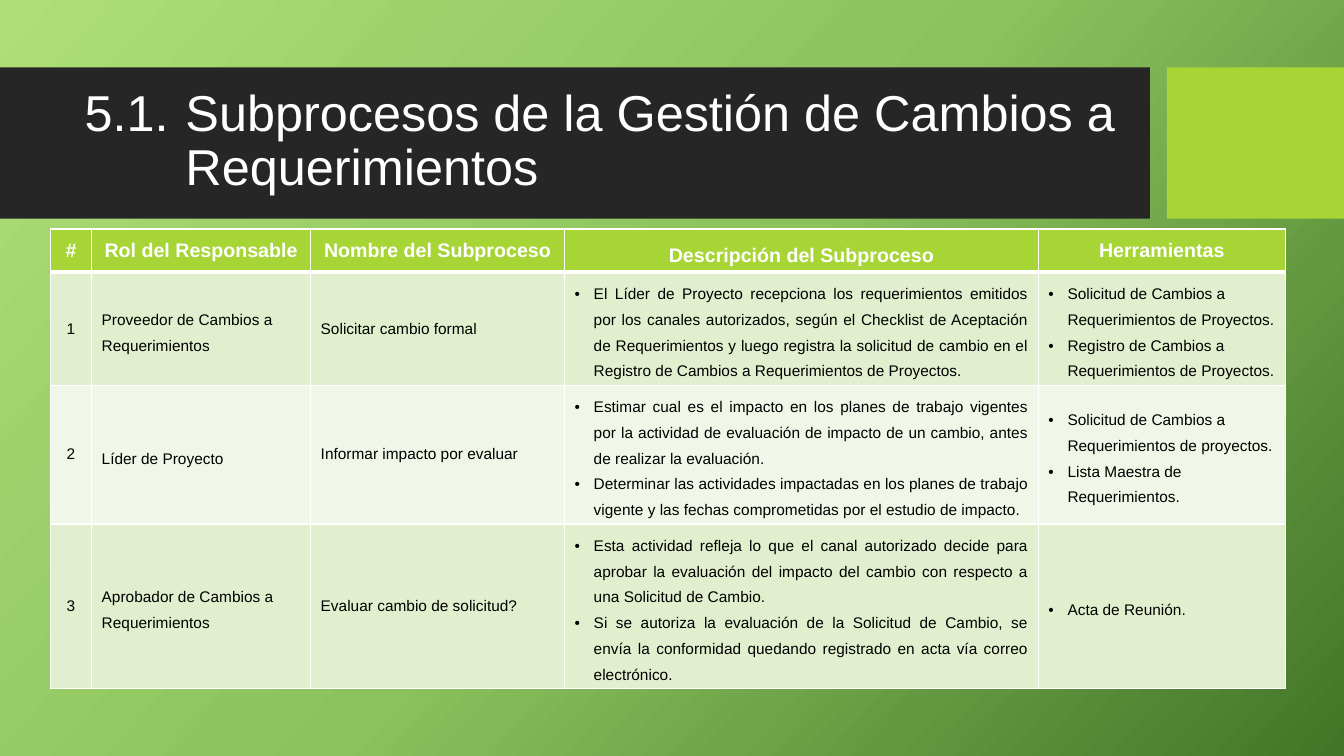
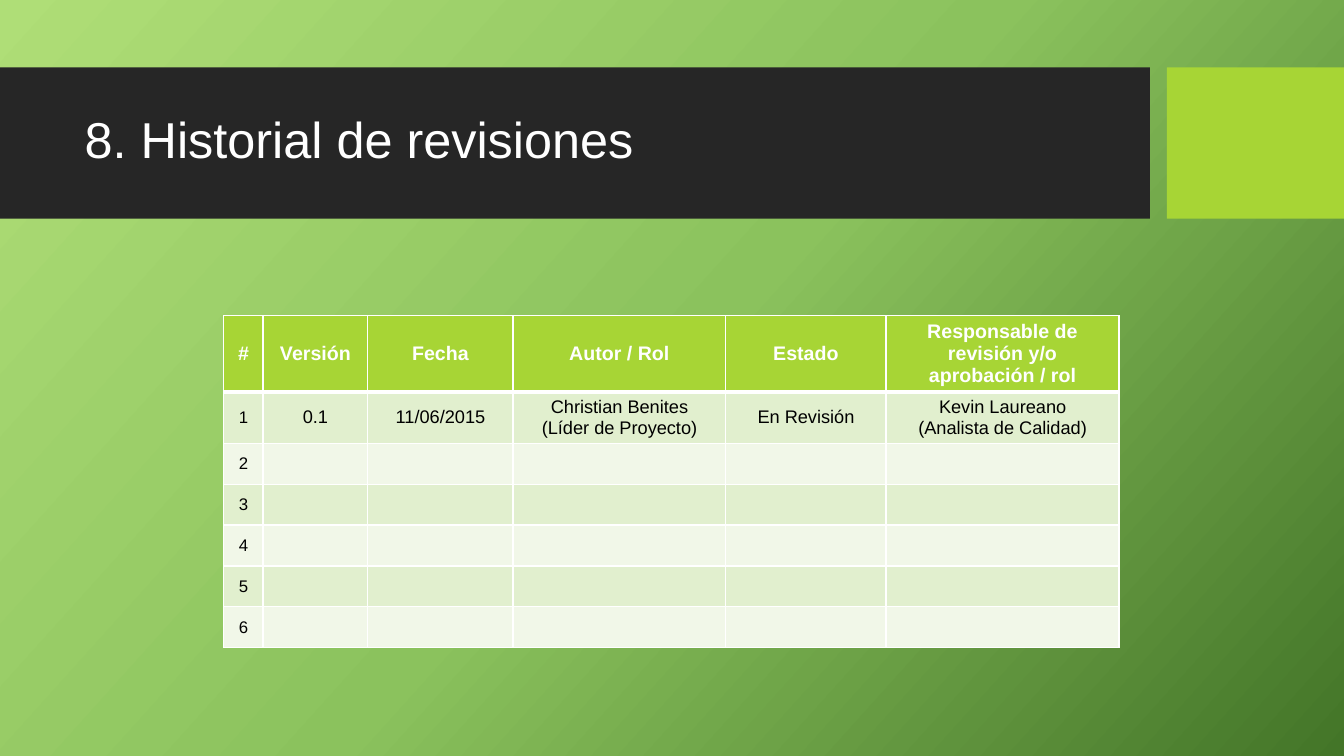
from dataclasses import dataclass

from lxml.etree import SubElement
from pptx import Presentation
from pptx.dml.color import RGBColor
from pptx.enum.shapes import MSO_SHAPE as Shape
from pptx.enum.text import MSO_ANCHOR as Anchor, MSO_AUTO_SIZE as AutoSize, PP_ALIGN as Align
from pptx.oxml.ns import qn
from pptx.util import Cm, Pt


@dataclass(frozen=True)
class Theme:
    font: str = "Arial"
    white: str = "FFFFFF"
    black: str = "000000"
    dark: str = "262626"
    lime: str = "A7D535"
    stripes: tuple = ("E1EFCE", "F1F7E8")
    gradient: tuple = ((0, "AFDE77"), (50, "8BC25D"), (100, "437528"))
    gradient_angle: int = 42
    title_size: int = 36
    header_size: int = 14
    body_size: int = 11
    number_size: int = 12
    record_size: float = 13
    border: int = 1
    header_border: int = 3


T = Theme()
INDENT = Cm(0.48)
CENTER = {"alignment": Align.CENTER}
LEFT = {"alignment": Align.LEFT}
LOOSE = {"line_spacing": 1.5}
BULLET = LEFT | LOOSE | {"bullet": True}
JUSTIFIED_BULLET = BULLET | {"alignment": Align.JUSTIFY}


def rgb(value):
    return RGBColor.from_string(value)


def style_font(font, size, color, bold=False):
    for name, value in {"name": T.font, "size": Pt(size), "bold": bold}.items():
        setattr(font, name, value)
    font.color.rgb = rgb(color)


def set_indent(p, left):
    """Hang the first line of a paragraph by the whole left margin."""
    pPr = p._p.get_or_add_pPr()
    pPr.set("marL", str(left))
    pPr.set("indent", str(-left))
    return pPr


def set_background(master):
    fill = master.background.fill
    fill.gradient()
    fill.gradient_angle = 360 - T.gradient_angle  # counter-clockwise in python-pptx
    stops = master.element.find(".//" + qn("a:gsLst"))
    stops[:] = []
    for position, color in T.gradient:
        stop = SubElement(stops, qn("a:gs"), pos=str(position * 1000))
        SubElement(stop, qn("a:srgbClr"), val=color)


def add_master_bands(master, s):
    """Draw the title bands on a slide, then move them to the master."""
    bands = ((0, 28.98, T.dark), (29.41, 4.46, T.lime))
    for number, (left, width, color) in enumerate(bands):
        band = s.shapes.add_shape(Shape.RECTANGLE, Cm(left), Cm(1.7), Cm(width), Cm(3.81))
        band.shadow.inherit = False
        band.fill.solid()
        band.fill.fore_color.rgb = rgb(color)
        band.line.fill.background()
        band.element.nvSpPr.cNvPr.set("id", str(101 + number))
        master.shapes.element.insert(2 + number, band.element)


def add_title(s, text, hanging=0):
    sp = s.shapes.title
    box = {"left": 1.88, "top": 2.08, "width": 26.7, "height": 3}
    for name, value in box.items():
        setattr(sp, name, Cm(value))
    tf = sp.text_frame
    frame = {"text": text, "word_wrap": True, "auto_size": AutoSize.NONE,
             "vertical_anchor": Anchor.MIDDLE}
    for name, value in frame.items():
        setattr(tf, name, value)
    p = tf.paragraphs[0]
    p.alignment = Align.LEFT
    p.line_spacing = 0.9
    if hanging:
        set_indent(p, Cm(hanging))
    style_font(p.runs[0].font, T.title_size, T.white)


def set_borders(cell, top, bottom):
    tcPr = cell._tc.get_or_add_tcPr()
    widths = {"lnL": T.border, "lnR": T.border, "lnT": top, "lnB": bottom}
    for position, (side, width) in enumerate(widths.items()):
        ln = SubElement(tcPr, qn("a:" + side), w=str(Pt(width)))
        SubElement(SubElement(ln, qn("a:solidFill")), qn("a:srgbClr"), val=T.white)
        tcPr.insert(position, ln)


def fill_cell(cell, content, fill, size, color, layout, bold=False):
    """Write one text, or a tuple of paragraphs, into a filled cell."""
    cell.fill.solid()
    cell.fill.fore_color.rgb = rgb(fill)
    cell.vertical_anchor = Anchor.MIDDLE
    if not content:
        return
    tf = cell.text_frame
    tf.text = content if isinstance(content, str) else "\n".join(content)
    for p in tf.paragraphs:
        for name, value in layout.items():
            if name != "bullet":
                setattr(p, name, value)
        if layout.get("bullet"):
            pPr = set_indent(p, INDENT)
            SubElement(pPr, qn("a:buFont"), typeface=T.font)
            SubElement(pPr, qn("a:buChar"), char="•")
        style_font(p.runs[0].font, size, color, bold)


def add_grid(s, left, top, widths, heights, rows, columns, header_layouts=None):
    """Add a table; columns holds the (size, layout) of each column's body cells."""
    frame = s.shapes.add_table(len(rows), len(widths), Cm(left), Cm(top),
                               Cm(sum(widths)), Cm(sum(heights)))
    table = frame.table
    for column, width in zip(table.columns, widths):
        column.width = Cm(width)
    for row, height in zip(table.rows, heights):
        row.height = Cm(height)
    for i, row in enumerate(rows):
        for j, (size, layout) in enumerate(columns):
            cell = table.cell(i, j)
            content = row[j] if j < len(row) else ""
            if i == 0:
                layout = CENTER | (header_layouts or {}).get(j, {})
                fill_cell(cell, content, T.lime, T.header_size, T.white, layout, bold=True)
            else:
                fill_cell(cell, content, T.stripes[(i - 1) % 2], size, T.black, layout)
            set_borders(cell, top=T.header_border if i == 1 else T.border,
                        bottom=T.header_border if i == 0 else T.border)


def add_subprocess_table(s):
    rows = (
        ("#", "Rol del Responsable", "Nombre del Subproceso",
         "Descripción del Subproceso", "Herramientas"),
        ("1", "Proveedor de Cambios a Requerimientos", "Solicitar cambio formal",
         "El Líder de Proyecto recepciona los requerimientos emitidos por los canales "
         "autorizados, según el Checklist de Aceptación de Requerimientos y luego registra "
         "la solicitud de cambio en el Registro de Cambios a Requerimientos de Proyectos.",
         ("Solicitud de Cambios a Requerimientos de Proyectos.",
          "Registro de Cambios a Requerimientos de Proyectos.")),
        ("2", "Líder de Proyecto", "Informar impacto por evaluar",
         ("Estimar cual es el impacto en los planes de trabajo vigentes por la actividad de "
          "evaluación de impacto de un cambio, antes de realizar la evaluación.",
          "Determinar las actividades impactadas en los planes de trabajo vigente y las "
          "fechas comprometidas por el estudio de impacto."),
         ("Solicitud de Cambios a Requerimientos de proyectos.",
          "Lista Maestra de Requerimientos.")),
        ("3", "Aprobador de Cambios a Requerimientos", "Evaluar cambio de solicitud?",
         ("Esta actividad refleja lo que el canal autorizado decide para aprobar la "
          "evaluación del impacto del cambio con respecto a una Solicitud de Cambio.",
          "Si se autoriza la evaluación de la Solicitud de Cambio, se envía la conformidad "
          "quedando registrado en acta vía correo electrónico."),
         "Acta de Reunión."),
    )
    layouts = (CENTER, LEFT | LOOSE, LEFT, JUSTIFIED_BULLET, BULLET)
    add_grid(s, 1.27, 5.77, (1.04, 5.52, 6.4, 11.94, 6.22), (1.08, 2.85, 3.48, 4.14), rows,
             [(T.body_size, layout) for layout in layouts], header_layouts={3: LOOSE})


def add_revision_table(s):
    rows = [
        ("#", "Versión", "Fecha", "Autor / Rol", "Estado",
         "Responsable de revisión y/o aprobación / rol"),
        ("1", "0.1", "11/06/2015", ("Christian Benites", "(Líder de Proyecto)"),
         "En Revisión", ("Kevin Laureano", "(Analista de Calidad)")),
    ]
    rows += [(str(number),) for number in range(2, 7)]
    columns = [(T.number_size, CENTER)] + [(T.record_size, CENTER)] * 5
    add_grid(s, 5.64, 7.96, (0.99, 2.64, 3.66, 5.36, 4.04, 5.87),
             [1.89, 1.29] + [1.03] * 5, rows, columns)


def main():
    prs = Presentation()
    prs.slide_width, prs.slide_height = Cm(33.87), Cm(19.05)
    title_only = prs.slide_layouts[5]
    set_background(prs.slide_master)

    s = prs.slides.add_slide(title_only)
    add_master_bands(prs.slide_master, s)
    add_title(s, "5.1.\tSubprocesos de la Gestión de Cambios a Requerimientos", hanging=2.54)
    add_subprocess_table(s)

    s = prs.slides.add_slide(title_only)
    add_title(s, "8. Historial de revisiones")
    add_revision_table(s)

    prs.save("out.pptx")


if __name__ == "__main__":
    main()
